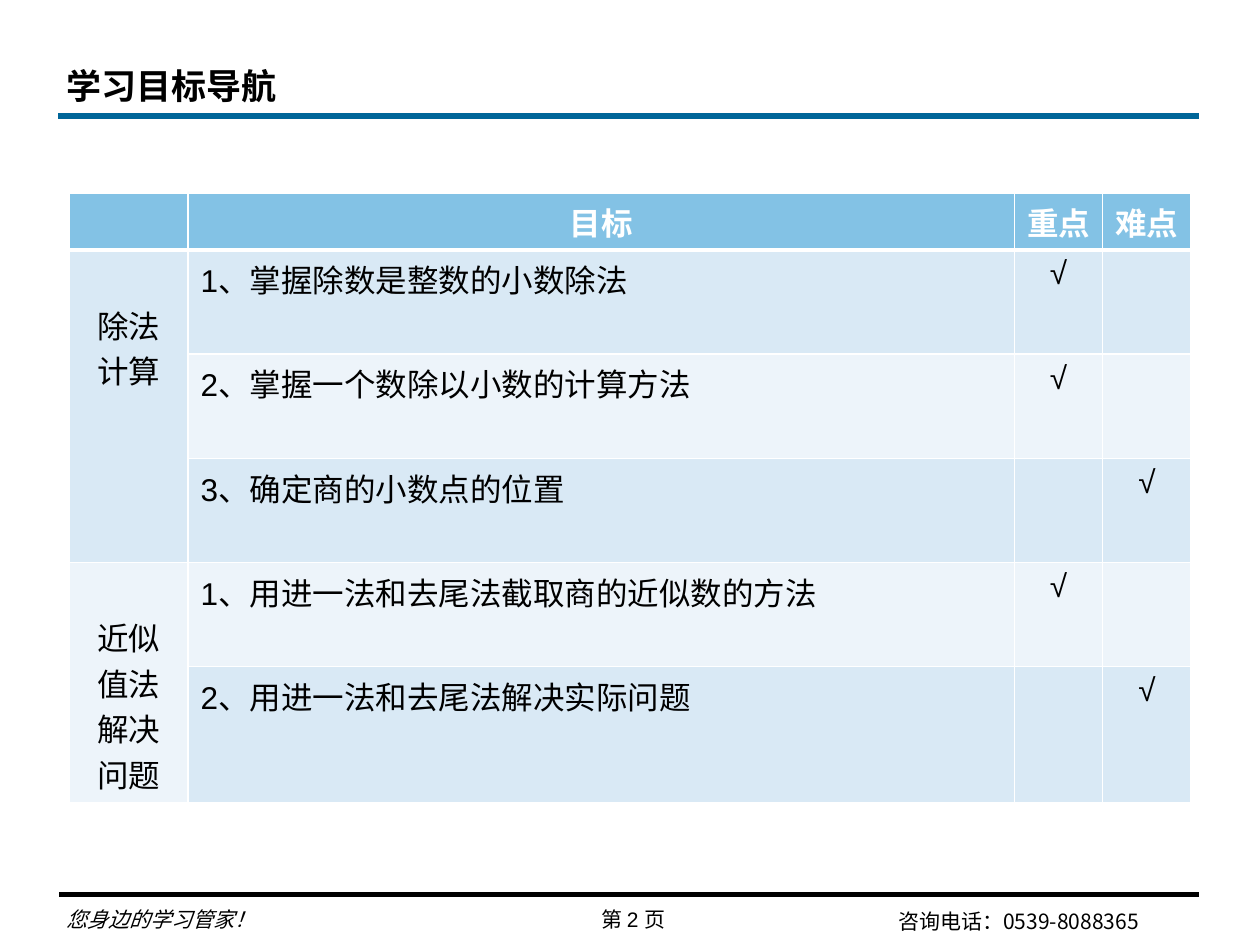
from lxml import etree
from pptx import Presentation
from pptx.dml.color import RGBColor
from pptx.enum import shapes, text
from pptx.oxml import ns
from pptx.util import Cm, Pt

CJK = "Noto Sans CJK SC"
BLACK, WHITE, BLUE = "000000", "FFFFFF", "006699"
HEADER, DEEP, PALE = "83C2E5", "D9E9F5", "EDF4FA"
CENTER, LEFT = text.PP_ALIGN.CENTER, text.PP_ALIGN.LEFT
CHECK = "√"

HEADINGS = ["", "目标", "重点", "难点"]
TOPICS = [
    ("除法计算", [
        ("1、掌握除数是整数的小数除法", CHECK, ""),
        ("2、掌握一个数除以小数的计算方法", CHECK, ""),
        ("3、确定商的小数点的位置", "", CHECK),
    ]),
    ("近似值法解决问题", [
        ("1、用进一法和去尾法截取商的近似数的方法", CHECK, ""),
        ("2、用进一法和去尾法解决实际问题", "", CHECK),
    ]),
]
COLUMN_WIDTHS = [2.39, 16.66, 1.78, 1.78]
ROW_HEIGHTS = [1.15, 2.1, 2.1, 2.1, 2.1, 2.74]


def color(value):
    return RGBColor.from_string(value)


def write(frame, words, size, font="Arial", ink=BLACK, align=LEFT, bold=False, italic=False):
    paragraph = frame.paragraphs[0]
    paragraph.alignment = align
    run = paragraph.add_run()
    run.text = words
    run.font.size = Pt(size)
    run.font.name = font
    run.font.bold = bold
    run.font.italic = italic
    run.font.color.rgb = color(ink)
    if words != CHECK:
        latin = run.font._element.find(ns.qn("a:latin"))
        east_asian = etree.Element(ns.qn("a:ea"), typeface=CJK)
        latin.addnext(east_asian)


def add_rule(slide, left, top, right, ink):
    rule = slide.shapes.add_connector(
        shapes.MSO_CONNECTOR.STRAIGHT, Cm(left), Cm(top), Cm(right), Cm(top))
    rule.line.color.rgb = color(ink)
    rule.line.width = Pt(3)
    etree.SubElement(rule._element.spPr, ns.qn("a:effectLst"))


def add_label(slide, words, left, top, width, height, anchor, **style):
    label = slide.shapes.add_textbox(Cm(left), Cm(top), Cm(width), Cm(height))
    label.text_frame.word_wrap = True
    label.text_frame.vertical_anchor = anchor
    write(label.text_frame, words, 12, **style)


def set_title(slide, words):
    title = slide.shapes.title
    title.left, title.top, title.width, title.height = Cm(1.09), Cm(0.64), Cm(20.17), Cm(1.63)
    title.text_frame.auto_size = text.MSO_AUTO_SIZE.NONE
    title.text_frame.vertical_anchor = text.MSO_ANCHOR.BOTTOM
    write(title.text_frame, words, 20, font=CJK, bold=True)


def set_borders(cell, bottom):
    properties = cell._tc.get_or_add_tcPr()
    for side, width in (("L", 1), ("R", 1), ("T", 1), ("B", bottom)):
        border = etree.SubElement(properties, ns.qn(f"a:ln{side}"), w=str(Pt(width)))
        fill = etree.SubElement(border, ns.qn("a:solidFill"))
        etree.SubElement(fill, ns.qn("a:srgbClr"), val=WHITE)


def fill_cell(cell, words, fill, bottom=1, **style):
    set_borders(cell, bottom)
    cell.fill.solid()
    cell.fill.fore_color.rgb = color(fill)
    if words:
        write(cell.text_frame, words, 18, **style)


def add_goals(slide):
    goals = slide.shapes.add_table(
        len(ROW_HEIGHTS), len(COLUMN_WIDTHS), Cm(1.4), Cm(3.89),
        Cm(sum(COLUMN_WIDTHS)), Cm(sum(ROW_HEIGHTS))).table
    for column, width in zip(goals.columns, COLUMN_WIDTHS):
        column.width = Cm(width)
    for row, height in zip(goals.rows, ROW_HEIGHTS):
        row.height = Cm(height)
    for column, heading in enumerate(HEADINGS):
        fill_cell(goals.cell(0, column), heading, HEADER, bottom=3,
                  ink=WHITE, align=CENTER, bold=True)

    row = 1
    for topic, targets in TOPICS:
        first = goals.cell(row, 0)
        first.merge(goals.cell(row + len(targets) - 1, 0))
        first.margin_top = Cm(1.04)
        for index, target in enumerate(targets):
            shade = DEEP if row % 2 else PALE
            fill_cell(goals.cell(row, 0), "" if index else topic, shade, align=CENTER)
            for column, words in enumerate(target, start=1):
                fill_cell(goals.cell(row, column), words, shade,
                          align=LEFT if column == 1 else CENTER)
            row += 1


def main():
    deck = Presentation()
    deck.slide_width, deck.slide_height = Cm(25.4), Cm(19.05)
    slide = deck.slides.add_slide(deck.slide_layouts[5])
    top, bottom = text.MSO_ANCHOR.TOP, text.MSO_ANCHOR.BOTTOM

    add_label(slide, "第 2 页", 11.28, 18.16, 2.97, 0.76, top, align=CENTER)
    add_label(slide, "您身边的学习管家！", 1.09, 18.01, 6.1, 0.89, bottom, font=CJK, italic=True)
    add_rule(slide, 1.17, 2.34, 24.18, BLUE)
    add_rule(slide, 1.19, 18.03, 24.18, BLACK)
    add_label(slide, "咨询电话：0539-8088365", 17.86, 18.06, 6.1, 0.89, bottom, font=CJK)
    set_title(slide, "学习目标导航")
    add_goals(slide)

    deck.save("out.pptx")


if __name__ == "__main__":
    main()
